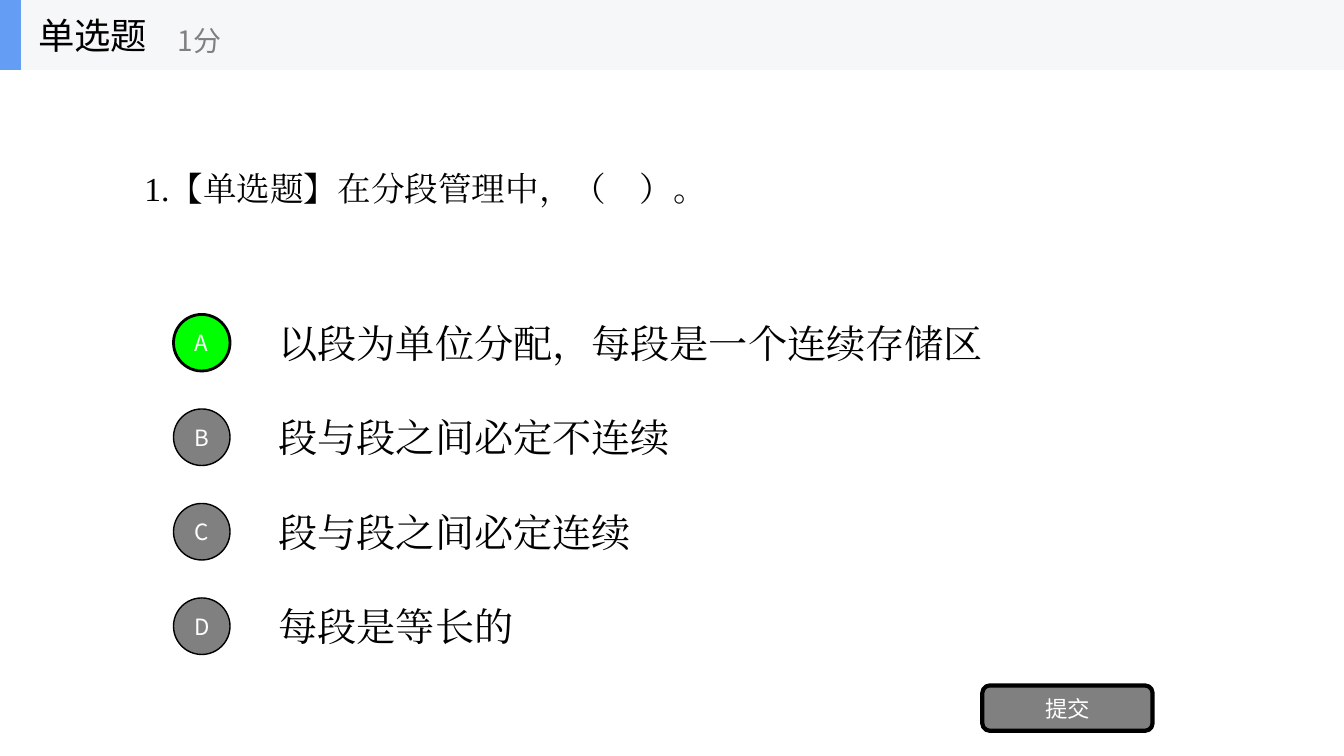
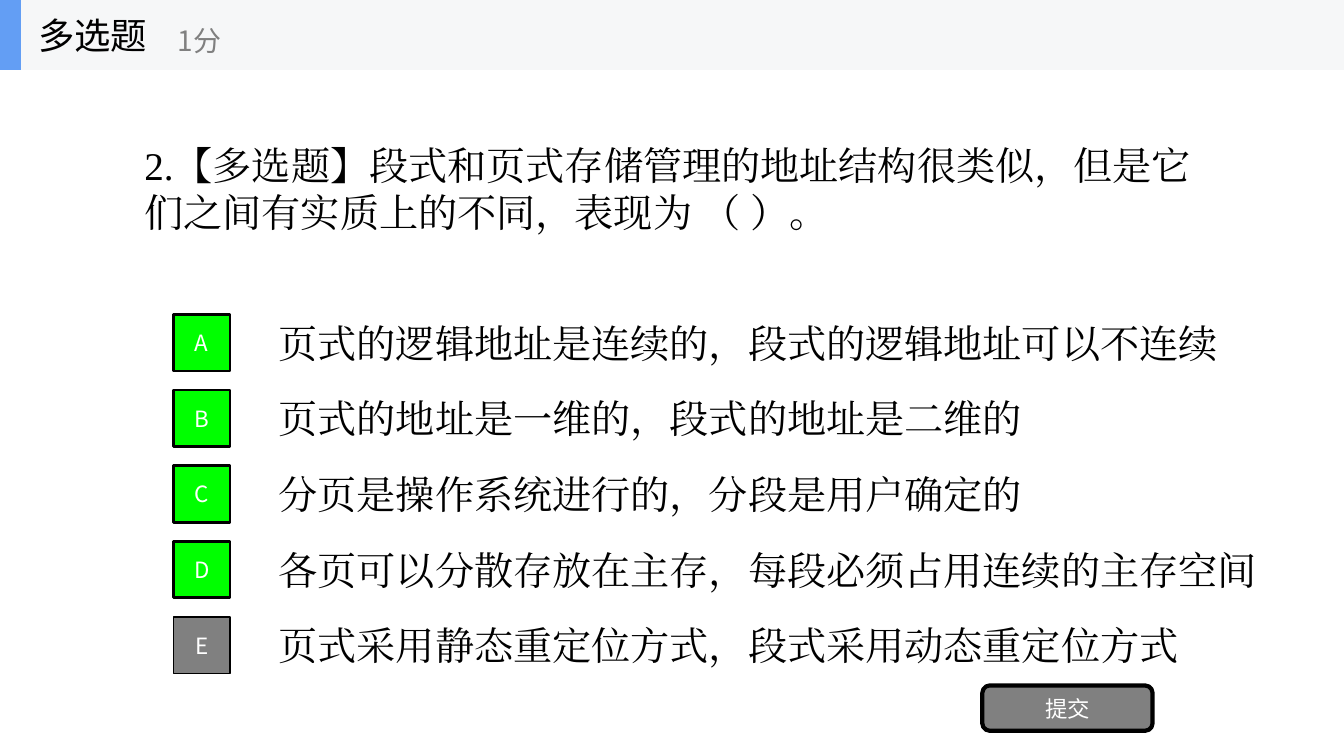
import pptx
import pptx.util
import pptx.dml.color
import pptx.enum.shapes
import pptx.enum.text
import pptx.oxml.ns
from lxml import etree

Pt = pptx.util.Pt
RGBColor = pptx.dml.color.RGBColor
MSO_SHAPE = pptx.enum.shapes.MSO_SHAPE
PP_ALIGN = pptx.enum.text.PP_ALIGN
MIDDLE = pptx.enum.text.MSO_ANCHOR.MIDDLE

# Content: the last field of an option tells whether it is correct
QUESTIONS = [
    {
        "kind": "单选题",
        "score": "1分",
        "question": "1.【单选题】在分段管理中，（    ）。",
        "size": 24,
        "marker": MSO_SHAPE.OVAL,
        "pitch": 67.5,
        "option_width": 672,
        "options": [
            ("以段为单位分配，每段是一个连续存储区", True),
            ("段与段之间必定不连续", False),
            ("段与段之间必定连续", False),
            ("每段是等长的", False),
        ],
    },
    {
        "kind": "多选题",
        "score": "1分",
        "question": "2.【多选题】段式和页式存储管理的地址结构很类似，"
                    "但是它们之间有实质上的不同，表现为 （ ）。",
        "size": 28,
        "marker": MSO_SHAPE.RECTANGLE,
        "pitch": 54,
        "option_width": 724,
        "options": [
            ("页式的逻辑地址是连续的，段式的逻辑地址可以不连续", True),
            ("页式的地址是一维的，段式的地址是二维的", True),
            ("分页是操作系统进行的，分段是用户确定的", True),
            ("各页可以分散存放在主存，每段必须占用连续的主存空间", True),
            ("页式采用静态重定位方式，段式采用动态重定位方式", False),
        ],
    },
]
SUBMIT = "提交"

# Shared style
BLACK = RGBColor(0x00, 0x00, 0x00)
WHITE = RGBColor(0xFF, 0xFF, 0xFF)
GRAY = RGBColor(0x80, 0x80, 0x80)
GREEN = RGBColor(0x00, 0xFF, 0x00)
BAND = RGBColor(0xF6, 0xF7, 0xF8)
ACCENT = RGBColor(0x63, 0x9E, 0xF4)
SERIF, SANS = "Times New Roman", "Noto Sans CJK SC"

SLIDE_W, SLIDE_H = 960.5, 540
BAND_H = 50
OPTION_X, OPTION_Y, OPTION_H = 192, 219.6, 50.4
MARKER_X, MARKER_SIZE = 124, 40.4


def place(shape, left, top, width, height):
    shape.left, shape.top = Pt(left), Pt(top)
    shape.width, shape.height = Pt(width), Pt(height)


def write(shape, text, size, color, font, align=PP_ALIGN.LEFT):
    tf = shape.text_frame
    tf.text = text
    tf.word_wrap = True
    tf.auto_size = pptx.enum.text.MSO_AUTO_SIZE.NONE
    tf.vertical_anchor = MIDDLE
    p = tf.paragraphs[0]
    p.alignment = align
    p.space_before = Pt(0)
    r = p.runs[0]
    r.font.size, r.font.name = Pt(size), font
    r.font.color.rgb = color
    ea = etree.SubElement(r.font._element, pptx.oxml.ns.qn("a:ea"))
    ea.set("typeface", font)


def add_text(s, box, text, size, color, font):
    write(s.shapes.add_textbox(*map(Pt, box)), text, size, color, font)


def add_box(s, kind, box, fill, line_width=0):
    shape = s.shapes.add_shape(kind, *map(Pt, box))
    shape.shadow.inherit = False
    shape.fill.solid()
    shape.fill.fore_color.rgb = fill
    if line_width:
        shape.line.color.rgb = BLACK
        shape.line.width = Pt(line_width)
    else:
        shape.line.fill.background()
    return shape


def add_button(s, kind, box, fill, line_width, label):
    shape = add_box(s, kind, box, fill, line_width)
    write(shape, label, 16, WHITE, SANS, PP_ALIGN.CENTER)


def style_layout(prs, layout):
    """Give the layout the header band and the placeholder positions."""
    title, body = layout.placeholders[0], layout.placeholders[1]
    place(title, 20, 0, 150, BAND_H)
    place(body, 96, BAND_H, 768, 168.5)
    # Layouts cannot add shapes, so the band is drawn on a slide and moved
    s = prs.slides[0]
    for width, fill in ((SLIDE_W, BAND), (15, ACCENT)):
        part = add_box(s, MSO_SHAPE.RECTANGLE, (0, 0, width, BAND_H), fill)
        layout.shapes.element.append(part.element)


def build_question(s, q):
    # Header and question
    write(s.shapes.title, q["kind"], 26, BLACK, SANS)
    add_text(s, (120, 8.6, 180, 40.4), q["score"], 20, GRAY, SANS)
    body = s.placeholders[1]
    write(body, q["question"], q["size"], BLACK, SERIF)
    pPr = body.text_frame.paragraphs[0]._p.get_or_add_pPr()
    pPr.set("marL", "0")
    pPr.set("indent", "0")
    etree.SubElement(pPr, pptx.oxml.ns.qn("a:buNone"))

    # Options with their lettered markers
    inset = (OPTION_H - MARKER_SIZE) / 2
    for i, (text, correct) in enumerate(q["options"]):
        y = OPTION_Y + i * q["pitch"]
        add_text(s, (OPTION_X, y, q["option_width"], OPTION_H), text, 28, BLACK, SERIF)
        fill, line_width = (GREEN, 2) if correct else (GRAY, 1)
        add_button(s, q["marker"], (MARKER_X, y + inset, MARKER_SIZE, MARKER_SIZE),
                   fill, line_width, "ABCDE"[i])

    # Submit button
    add_button(s, MSO_SHAPE.ROUNDED_RECTANGLE, (702, 489.6, 121.7, 32.4), GRAY, 3, SUBMIT)


def main():
    prs = pptx.Presentation()
    prs.slide_width, prs.slide_height = Pt(SLIDE_W), Pt(SLIDE_H)
    layout = prs.slide_layouts[1]
    slides = [prs.slides.add_slide(layout) for _ in QUESTIONS]
    style_layout(prs, layout)
    for s, q in zip(slides, QUESTIONS):
        build_question(s, q)
    prs.save("out.pptx")


if __name__ == "__main__":
    main()
